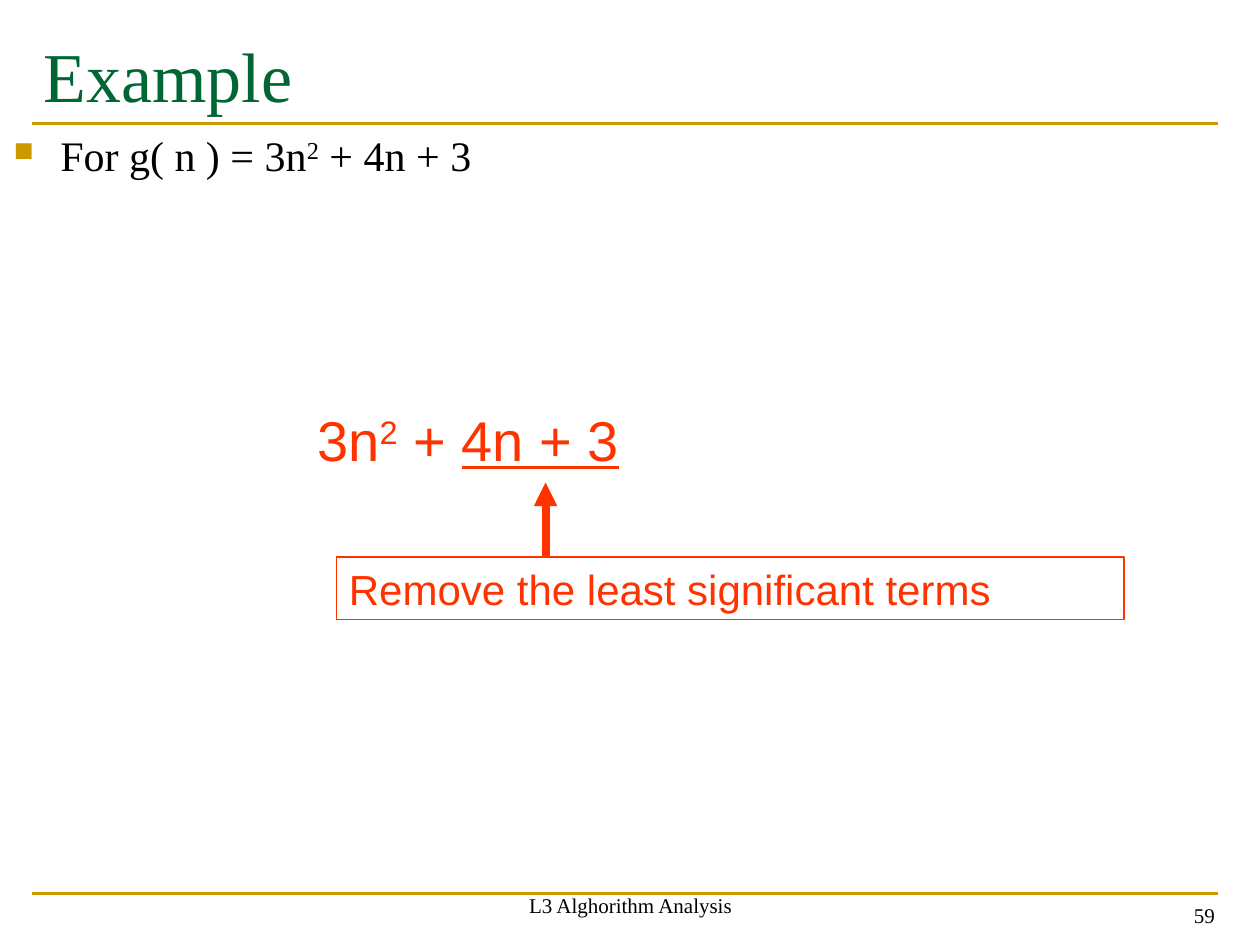
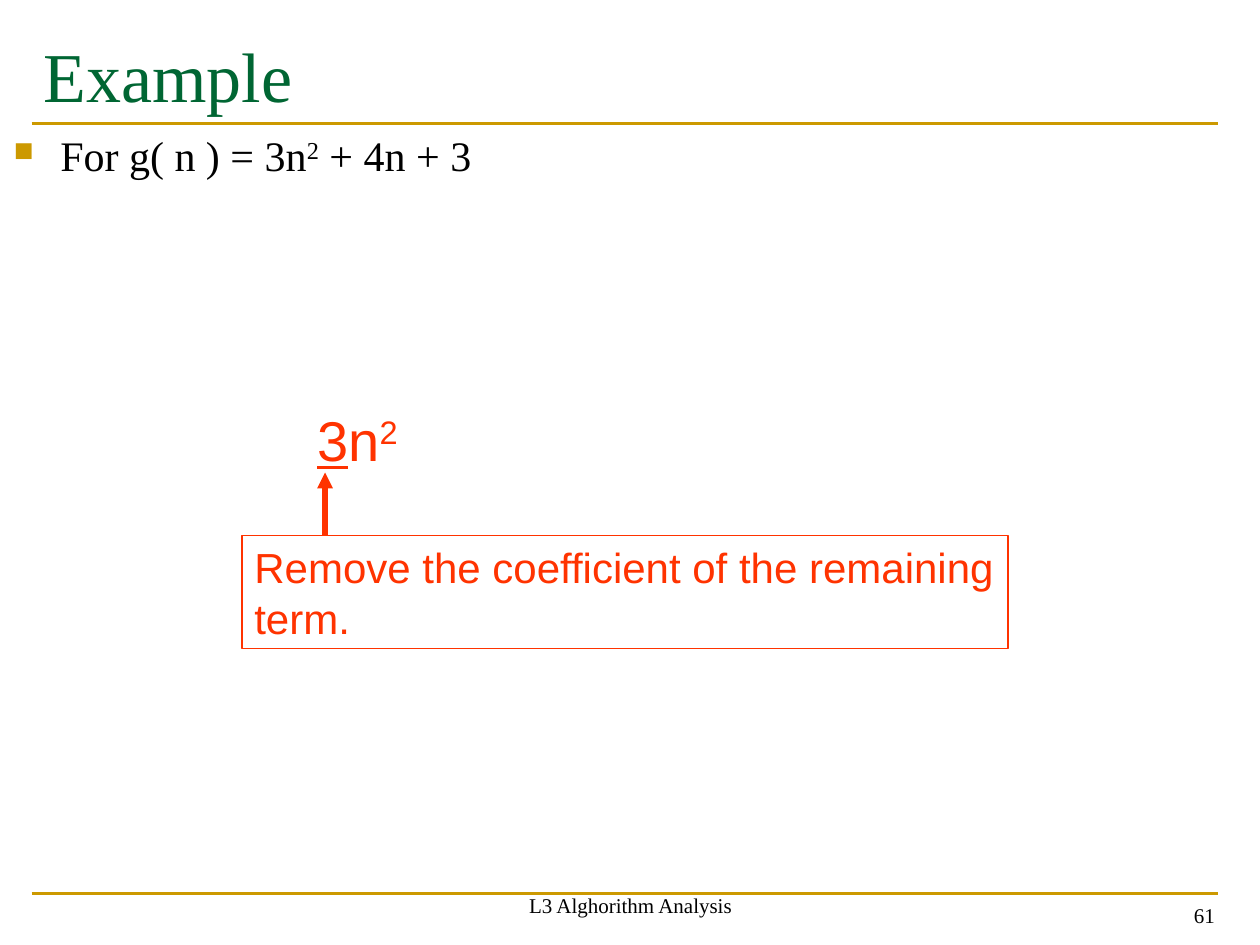
from dataclasses import dataclass
from typing import NamedTuple

from pptx import Presentation
from pptx.dml.color import RGBColor
from pptx.enum import shapes, text
from pptx.oxml import ns
from pptx.util import Inches, Pt
from lxml import etree


@dataclass(frozen=True)
class Theme:
    gold: RGBColor = RGBColor.from_string("CC9900")
    green: RGBColor = RGBColor.from_string("006633")
    red: RGBColor = RGBColor.from_string("FF3300")
    black: RGBColor = RGBColor.from_string("000000")
    serif: str = "Times New Roman"
    sans: str = "Arial"
    title: int = 40
    formula: int = 32
    body: int = 24
    footer: int = 12


THEME = Theme()


class Box(NamedTuple):
    left: float
    top: float
    width: float
    height: float


class Run(NamedTuple):
    text: str
    raised: bool = False
    underline: bool = False


class Style(NamedTuple):
    size: int
    font: str
    color: RGBColor
    align: text.PP_ALIGN = text.PP_ALIGN.LEFT
    anchor: text.MSO_ANCHOR = text.MSO_ANCHOR.TOP
    before: float = 0
    inset_top: float = 0.05


class Example(NamedTuple):
    number: int
    formula: list[Run]
    callout: str
    callout_box: Box
    arrow_x: float
    arrow_tip: float
    arrow_width: float


TITLE = Style(THEME.title, THEME.serif, THEME.green, inset_top=0.09)
BODY = Style(THEME.body, THEME.serif, THEME.black, before=4.8)
FORMULA = Style(THEME.formula, THEME.sans, THEME.red, before=16)
CALLOUT = Style(THEME.body, THEME.sans, THEME.red, before=12)
FOOTER = Style(THEME.footer, THEME.serif, THEME.black,
               text.PP_ALIGN.CENTER, text.MSO_ANCHOR.BOTTOM)
NUMBER = FOOTER._replace(align=text.PP_ALIGN.RIGHT)

QUESTION = [Run("For g( n ) = 3n"), Run("2", raised=True), Run(" + 4n + 3")]
RULE_TOPS = (7.09, 0.98)

EXAMPLES = [
    Example(59,
            [Run("3n"), Run("2", raised=True), Run(" + "), Run("4n + 3", underline=True)],
            "Remove the least significant terms",
            Box(2.67, 4.42, 6.25, 0.5), 4.33, 3.83, 4.5),
    Example(61,
            [Run("3", underline=True), Run("n"), Run("2", raised=True)],
            "Remove the coefficient of the remaining term.",
            Box(1.92, 4.25, 6.08, 0.9), 2.58, 3.75, 3),
]


def fill_text(sp, runs: list[Run], style: Style):
    """Write one styled paragraph into a shape and return it."""
    tf = sp.text_frame
    frame_format = {
        "word_wrap": True,
        "vertical_anchor": style.anchor,
        "margin_left": Inches(0.1),
        "margin_right": Inches(0.1),
        "margin_top": Inches(style.inset_top),
        "margin_bottom": Inches(0.05),
    }
    for name, value in frame_format.items():
        setattr(tf, name, value)
    p = tf.paragraphs[0]
    p.alignment = style.align
    p.space_before = Pt(style.before)
    for run in runs:
        r = p.add_run()
        r.text = run.text
        font_format = {"size": Pt(style.size), "name": style.font, "underline": run.underline}
        for name, value in font_format.items():
            setattr(r.font, name, value)
        r.font.color.rgb = style.color
        if run.raised:
            r._r.get_or_add_rPr().set("baseline", "30000")
    return p


def add_text(s, box: Box, runs: list[Run], style: Style):
    sp = s.shapes.add_textbox(*map(Inches, box))
    return fill_text(sp, runs, style)


def add_bullet(p) -> None:
    """Give a paragraph a small gold square and a hanging indent."""
    pPr = p._p.get_or_add_pPr()
    pPr.set("marL", str(Inches(0.38)))
    pPr.set("indent", str(Inches(-0.37)))
    color = etree.SubElement(pPr, ns.qn("a:buClr"))
    etree.SubElement(color, ns.qn("a:srgbClr"), val=str(THEME.gold))
    etree.SubElement(pPr, ns.qn("a:buSzPct"), val="65000")
    etree.SubElement(pPr, ns.qn("a:buChar"), char="■")


def add_line(s, start: tuple[float, float], end: tuple[float, float],
             color: RGBColor, width: float, arrow: bool = False) -> None:
    line = s.shapes.add_connector(shapes.MSO_CONNECTOR.STRAIGHT, *map(Inches, start + end))
    line.line.color.rgb = color
    line.line.width = Pt(width)
    if arrow:
        etree.SubElement(line.line._get_or_add_ln(), ns.qn("a:tailEnd"), type="triangle")
    etree.SubElement(line._element.spPr, ns.qn("a:effectLst"))


def add_callout(s, example: Example) -> None:
    sp = s.shapes.add_shape(shapes.MSO_SHAPE.RECTANGLE, *map(Inches, example.callout_box))
    sp.shadow.inherit = False
    sp.fill.background()
    sp.line.color.rgb = THEME.red
    sp.line.width = Pt(0.75)
    fill_text(sp, [Run(example.callout)], CALLOUT)
    x = example.arrow_x
    add_line(s, (x, example.callout_box.top), (x, example.arrow_tip),
             THEME.red, example.arrow_width, arrow=True)


def add_example(prs, example: Example) -> None:
    s = prs.slides.add_slide(prs.slide_layouts[6])
    # Shared rules, title and question
    for top in RULE_TOPS:
        add_line(s, (0.25, top), (9.67, top), THEME.gold, 1.5)
    add_text(s, Box(0.25, 0.17, 9.42, 1.17), [Run("Example")], TITLE)
    add_bullet(add_text(s, Box(0, 0.98, 9.41, 5.72), QUESTION, BODY))
    # Formula with its explanation
    add_text(s, Box(2.42, 3.17, 5.25, 0.63), example.formula, FORMULA)
    add_callout(s, example)
    # Footer
    add_text(s, Box(3.42, 6.83, 3.17, 0.5), [Run("L3 Alghorithm Analysis")], FOOTER)
    add_text(s, Box(7.41, 6.91, 2.33, 0.5), [Run(str(example.number))], NUMBER)


def main() -> None:
    prs = Presentation()
    prs.slide_width, prs.slide_height = Inches(10), Inches(7.5)
    for example in EXAMPLES:
        add_example(prs, example)
    prs.save("out.pptx")


if __name__ == "__main__":
    main()
